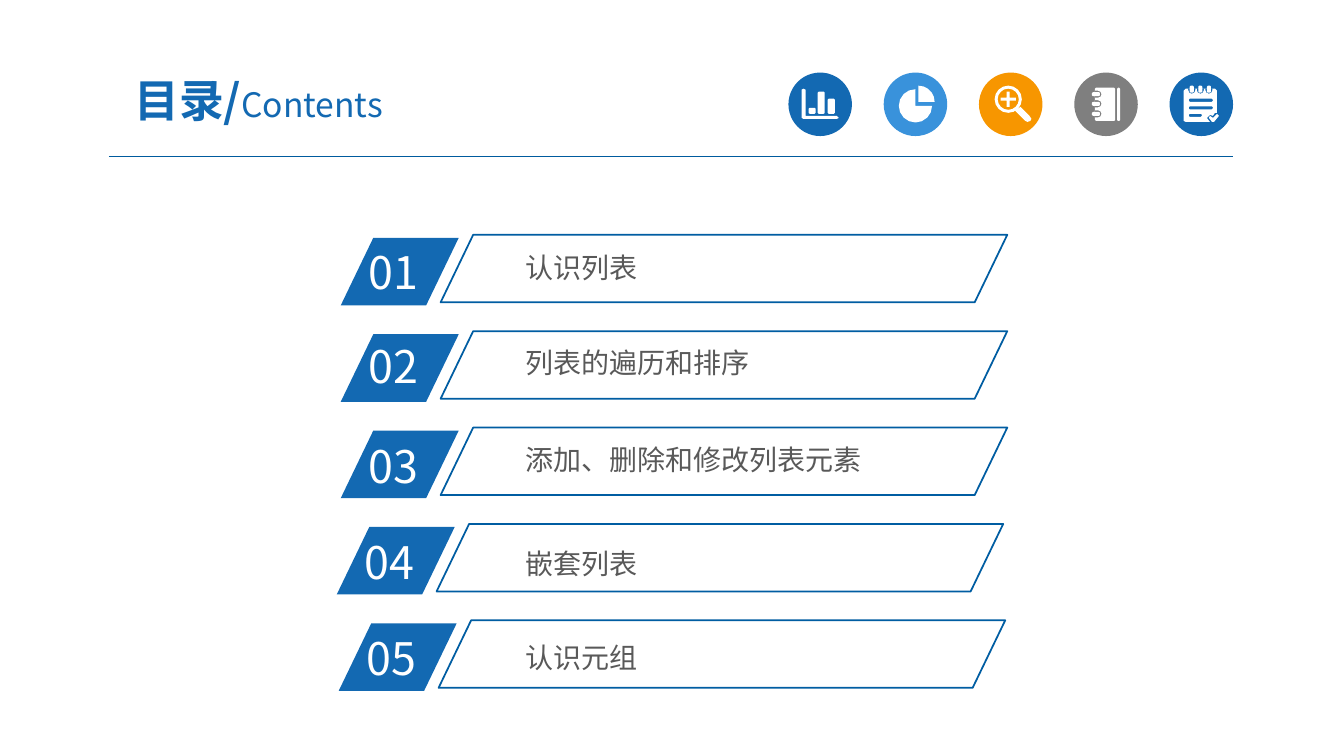
import math

import lxml.etree
import pptx
import pptx.dml.color
import pptx.enum.shapes
import pptx.enum.text
import pptx.oxml.ns
import pptx.util

Inches = pptx.util.Inches
Pt = pptx.util.Pt
Shape = pptx.enum.shapes.MSO_SHAPE
Anchor = pptx.enum.text.MSO_ANCHOR
Align = pptx.enum.text.PP_ALIGN
Fit = pptx.enum.text.MSO_AUTO_SIZE

FONT = "Noto Sans CJK SC"
BLUE, SKY, AMBER, GREY = "1369B2", "3992DB", "F79600", "7F7F7F"
WHITE, EDGE, RULE, INK = "FFFFFF", "005DA2", "005B9E", "595959"
STEP = 0.956
ROWS = [
    ("认识列表", 0, 2.38, 2.44),
    ("列表的遍历和排序", 0, 3.31, 3.39),
    ("添加、删除和修改列表元素", 0, 4.3, 4.35),
    ("嵌套列表", -0.04, 5.26, 5.38),
    ("认识元组", -0.02, 6.21, 6.31),
]


def color(code):
    """Turn a hex string into a colour."""
    return pptx.dml.color.RGBColor.from_string(code)


def apply(target, values):
    """Set each named value on the target."""
    for name, value in values.items():
        setattr(target, name, value)


def paint(shape, fill=None, line=None, width=1.25):
    """Set fill and outline, and drop the shadow."""
    shape.shadow.inherit = False
    if fill:
        shape.fill.solid()
        shape.fill.fore_color.rgb = color(fill)
    else:
        shape.fill.background()
    if line:
        shape.line.color.rgb = color(line)
        shape.line.width = Pt(width)
    else:
        shape.line.fill.background()


def add_run(para, text, size, code, bold=False):
    """Add a run of text in the slide's font."""
    run = para.add_run()
    run.text = text
    apply(run.font, {"name": FONT, "size": Pt(size), "bold": bold})
    run.font.color.rgb = color(code)
    tag = pptx.oxml.ns.qn("a:ea")
    lxml.etree.SubElement(run.font._element, tag).set("typeface", FONT)


def add_label(slide, box, text, size, code, side=0.1, edge=0.05):
    """Add a text box with one line of text."""
    frame = slide.shapes.add_textbox(*map(Inches, box)).text_frame
    apply(frame, {
        "word_wrap": True, "auto_size": Fit.SHAPE_TO_FIT_TEXT,
        "margin_left": Inches(side), "margin_right": Inches(side),
        "margin_top": Inches(edge), "margin_bottom": Inches(edge),
    })
    add_run(frame.paragraphs[0], text, size, code)


def add_slant(slide, left, top, width, **look):
    """Add a slanted box."""
    box = map(Inches, (left, top, width, 0.67))
    shape = slide.shapes.add_shape(Shape.PARALLELOGRAM, *box)
    shape.adjustments[0] = 0.482
    paint(shape, **look)


def add_row(slide, index, row):
    """Add a numbered entry of the contents."""
    text, shift, num_top, text_top = row
    top = 2.36 + STEP * index
    add_slant(slide, 3.38 + shift, top, 1.17, fill=BLUE)
    add_label(slide, (3.56 + shift, num_top, 1.12, 0.64), f"{index + 1:02}", 32, WHITE)
    add_label(slide, (5.14, text_top, 4.12, 0.41), text, 20, INK, 0.07, 0.04)
    add_slant(slide, 4.37 + shift, top - 0.03, 5.62, line=EDGE)


def arc(x, y, size, start=0, end=360, steps=16):
    """Return points along an arc, clockwise from the right."""
    turns = [math.radians(start + (end - start) * i / steps) for i in range(steps + 1)]
    return [(x + size * math.cos(t), y + size * math.sin(t)) for t in turns]


def bar(x, y, width, height, bend=0.01):
    """Return the points of a box with cut corners."""
    right, base = x + width, y + height
    return [(x + bend, y), (right - bend, y), (right, y + bend), (right, base - bend),
            (right - bend, base), (x + bend, base), (x, base - bend), (x, y + bend)]


def chart_parts():
    """Return the outlines of the bar chart icon."""
    axis = [(7.95, 0.89), (7.97, 0.88), (7.99, 0.89), (7.99, 1.15), (8.3, 1.15),
            (8.32, 1.17), (8.3, 1.18), (7.97, 1.18), (7.95, 1.17)]
    tops = [(8.02, 1.07), (8.11, 0.91), (8.21, 0.98)]
    return [axis] + [bar(x, y, 0.07, 1.13 - y) for x, y in tops]


def pie_parts():
    """Return the outlines of the pie icon."""
    return [[(9.11, 1.01)] + arc(9.11, 1.01, 0.16, 270, 360, 5),
            [(9.08, 1.05)] + arc(9.08, 1.05, 0.165, 0, 270, 12)]


def lens_parts():
    """Return the outlines of the magnifier icon."""
    grip = [(10.07, 1.1), (10.1, 1.08), (10.12, 1.06), (10.21, 1.15),
            (10.23, 1.18), (10.22, 1.2), (10.19, 1.21), (10.17, 1.2)]
    near, far = 0.015, 0.075
    plus = [(-near, -far), (near, -far), (near, -near), (far, -near),
            (far, near), (near, near), (near, far), (-near, far),
            (-near, near), (-far, near), (-far, -near), (-near, -near)]
    cross = [(10 + x, 0.985 + y) for x, y in plus]
    return [arc(10, 0.985, 0.135), arc(10, 0.985, 0.105), cross, grip]


def book_parts():
    """Return the outlines of the notebook icon."""
    parts = [bar(10.86, 0.87, 0.2, 0.33), bar(11.08, 0.87, 0.03, 0.33)]
    for y in (0.935, 1.03, 1.13):
        notch = [(10.86, y + 0.035), (10.86, y - 0.035)]
        parts.append(notch + arc(10.89, y, 0.035, -90, 90, 4))
        parts.append(bar(10.83, y - 0.02, 0.08, 0.04))
    return parts


def note_parts():
    """Return the outlines of the notepad icon."""
    page = [(11.74, 0.9), (11.76, 0.88), (12.05, 0.88), (12.07, 0.9), (12.07, 1.12),
            (12.05, 1.12), (12.03, 1.15), (12, 1.14), (11.97, 1.17), (12, 1.21),
            (11.76, 1.21), (11.74, 1.2)]
    tick = [(11.99, 1.17), (12, 1.15), (12.03, 1.17), (12.07, 1.13), (12.09, 1.15),
            (12.04, 1.21), (12.02, 1.21)]
    parts = [page, tick]
    for x in (11.82, 11.905, 11.99):
        notch = [(x - 0.035, 0.88), (x + 0.035, 0.88)]
        parts.append(notch + arc(x, 0.895, 0.035, 0, 180, 4))
        parts.append(bar(x - 0.02, 0.85, 0.04, 0.07))
    for y, width in ((0.98, 0.24), (1.055, 0.24), (1.13, 0.13)):
        parts.append(bar(11.79, y, width, 0.03))
    return parts


def add_icon(slide, index, code, parts):
    """Add a disc with a white sign on it."""
    box = map(Inches, (7.82 + 0.945 * index, 0.72, 0.63, 0.63))
    paint(slide.shapes.add_shape(Shape.OVAL, *box), fill=code)
    first, *rest = [[(Inches(x), Inches(y)) for x, y in part] for part in parts]
    pen = slide.shapes.build_freeform(*first[0])
    pen.add_line_segments(first[1:], close=True)
    for path in rest:
        pen.move_to(*path[0])
        pen.add_line_segments(path[1:], close=True)
    paint(pen.convert_to_shape(), fill=WHITE)


def add_title(slide):
    """Fill and place the title."""
    title = slide.shapes.title
    names = ("left", "top", "width", "height")
    apply(title, dict(zip(names, map(Inches, (0.92, 0.63, 3.29, 0.72)))))
    apply(title.text_frame, {
        "vertical_anchor": Anchor.MIDDLE, "auto_size": Fit.NONE, "word_wrap": True,
        "margin_left": Inches(0.13), "margin_right": Inches(0.13),
        "margin_top": Inches(0.07), "margin_bottom": Inches(0.07),
    })
    para = title.text_frame.paragraphs[0]
    para.alignment = Align.CENTER
    add_run(para, "目录/", 32, BLUE, True)
    add_run(para, "Contents", 24, BLUE)


def add_rule(slide):
    """Add the thin line under the header."""
    ends = map(Inches, (1.08, 1.55, 12.23, 1.55))
    rule = slide.shapes.add_connector(pptx.enum.shapes.MSO_CONNECTOR.STRAIGHT, *ends)
    rule.line.color.rgb = color(RULE)
    rule.line.width = Pt(0.75)
    lxml.etree.SubElement(rule._element.spPr, pptx.oxml.ns.qn("a:effectLst"))


def main():
    """Build and save the slide."""
    deck = pptx.Presentation()
    apply(deck, {"slide_width": Inches(13.33), "slide_height": Inches(7.5)})
    slide = deck.slides.add_slide(deck.slide_layouts[5])
    add_rule(slide)
    icons = [(BLUE, chart_parts()), (SKY, pie_parts()), (AMBER, lens_parts()),
             (GREY, book_parts()), (BLUE, note_parts())]
    for index, (code, parts) in enumerate(icons):
        add_icon(slide, index, code, parts)
    add_title(slide)
    for index, row in enumerate(ROWS):
        add_row(slide, index, row)
    deck.save("out.pptx")


if __name__ == "__main__":
    main()
